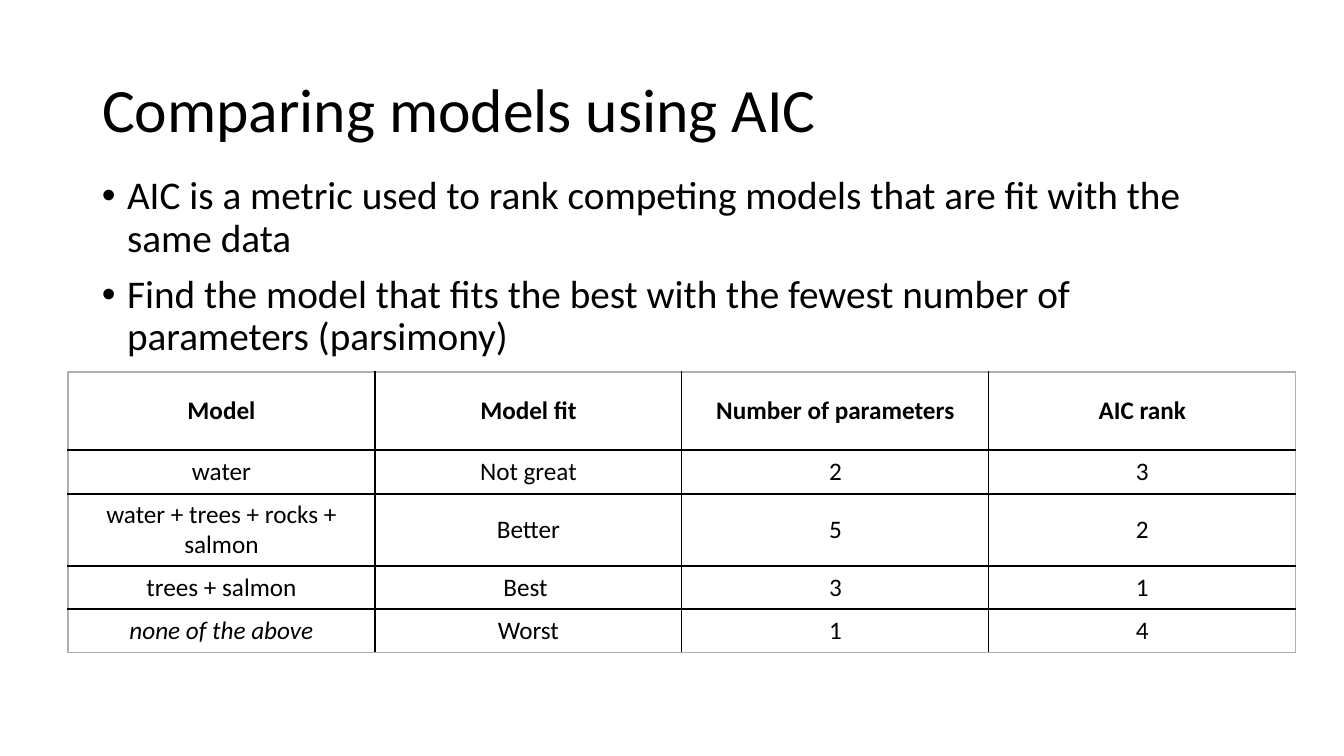
from pptx import Presentation, util as u
from pptx.dml.color import RGBColor
from pptx.enum import text
from pptx.oxml import parse_xml
from pptx.oxml.ns import nsdecls

PX = 914400 / 100.8
HUES = {"ink": "000000", "edge": "B0B0B0"}
FONT = "Calibri"


def px(n):
    return u.Emu(round(n * PX))


def style(para, size, bold=False, slant=False):
    for run in para.runs:
        font = run.font
        font.name, font.size = FONT, u.Pt(size)
        font.bold, font.italic = bold, slant
        font.color.rgb = RGBColor.from_string(HUES["ink"])


deck = Presentation()
deck.slide_width, deck.slide_height = px(1344), px(756)
slide = deck.slides.add_slide(deck.slide_layouts[5])

# Title
title = slide.shapes.title
title.left, title.top, title.width, title.height = map(px, (92, 40, 1159, 146))
frame = title.text_frame
frame.text = "Comparing models using AIC"
frame.auto_size = text.MSO_AUTO_SIZE.NONE
frame.vertical_anchor = text.MSO_ANCHOR.MIDDLE
para = frame.paragraphs[0]
para.alignment = text.PP_ALIGN.LEFT
para.line_spacing = 0.9
style(para, 44)

# Bullets
points = [
    "AIC is a metric used to rank competing models that are fit with the same data",
    "Find the model that fits the best with the fewest number of parameters (parsimony)",
]
body = slide.shapes.add_textbox(*map(px, (92, 171, 1159, 480)))
frame = body.text_frame
frame.word_wrap = True
frame.text = "\n".join(points)
for para in frame.paragraphs:
    para.line_spacing = 0.9
    para.space_before = u.Pt(10)
    style(para, 28)
    props = para._p.get_or_add_pPr()
    props.set("marL", "228600")
    props.set("indent", "-228600")
    props.append(parse_xml(f'<a:buFont {nsdecls("a")} typeface="Arial"/>'))
    props.append(parse_xml(f'<a:buChar {nsdecls("a")} char="•"/>'))

# Table of models
rows = [
    ("Model", "Model fit", "Number of parameters", "AIC rank"),
    ("water", "Not great", "2", "3"),
    ("water + trees + rocks + salmon", "Better", "5", "2"),
    ("trees + salmon", "Best ", "3", "1"),
    ("none of the above", "Worst", "1", "4"),
]
highs = [78, 44, 72, 43, 44]
last, end = len(rows) - 1, len(rows[0]) - 1
table = slide.shapes.add_table(
    len(rows), len(rows[0]), px(68), px(372), px(1228), px(sum(highs))).table
table.first_row = table.horz_banding = False
for col in table.columns:
    col.width = px(307)
for r, (row, high) in enumerate(zip(rows, highs)):
    table.rows[r].height = px(high)
    for c, word in enumerate(row):
        cell = table.cell(r, c)
        cell.text = word
        cell.vertical_anchor = text.MSO_ANCHOR.MIDDLE
        para = cell.text_frame.paragraphs[0]
        para.alignment = text.PP_ALIGN.CENTER
        style(para, 18, bold=r == 0, slant=r == last and c == 0)

        # Black rules inside, grey edge outside
        props = cell._tc.get_or_add_tcPr()
        outer = {"lnL": c == 0, "lnR": c == end, "lnT": r == 0, "lnB": r == last}
        for side, edge in outer.items():
            hue = HUES["edge" if edge else "ink"]
            props.append(parse_xml(
                f'<a:{side} {nsdecls("a")} w="12700"><a:solidFill>'
                f'<a:srgbClr val="{hue}"/></a:solidFill></a:{side}>'))
        cell.fill.background()

deck.save("out.pptx")
